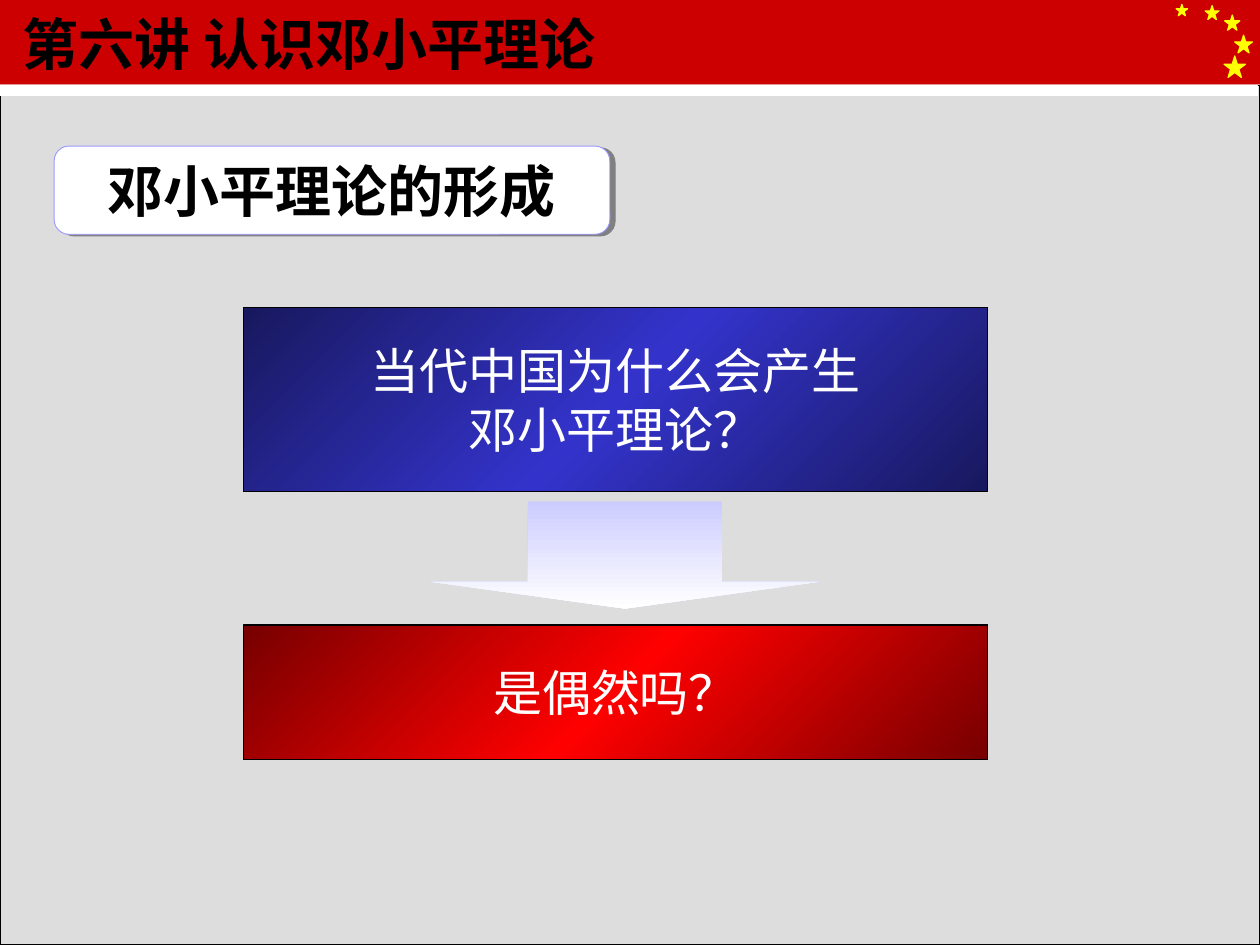
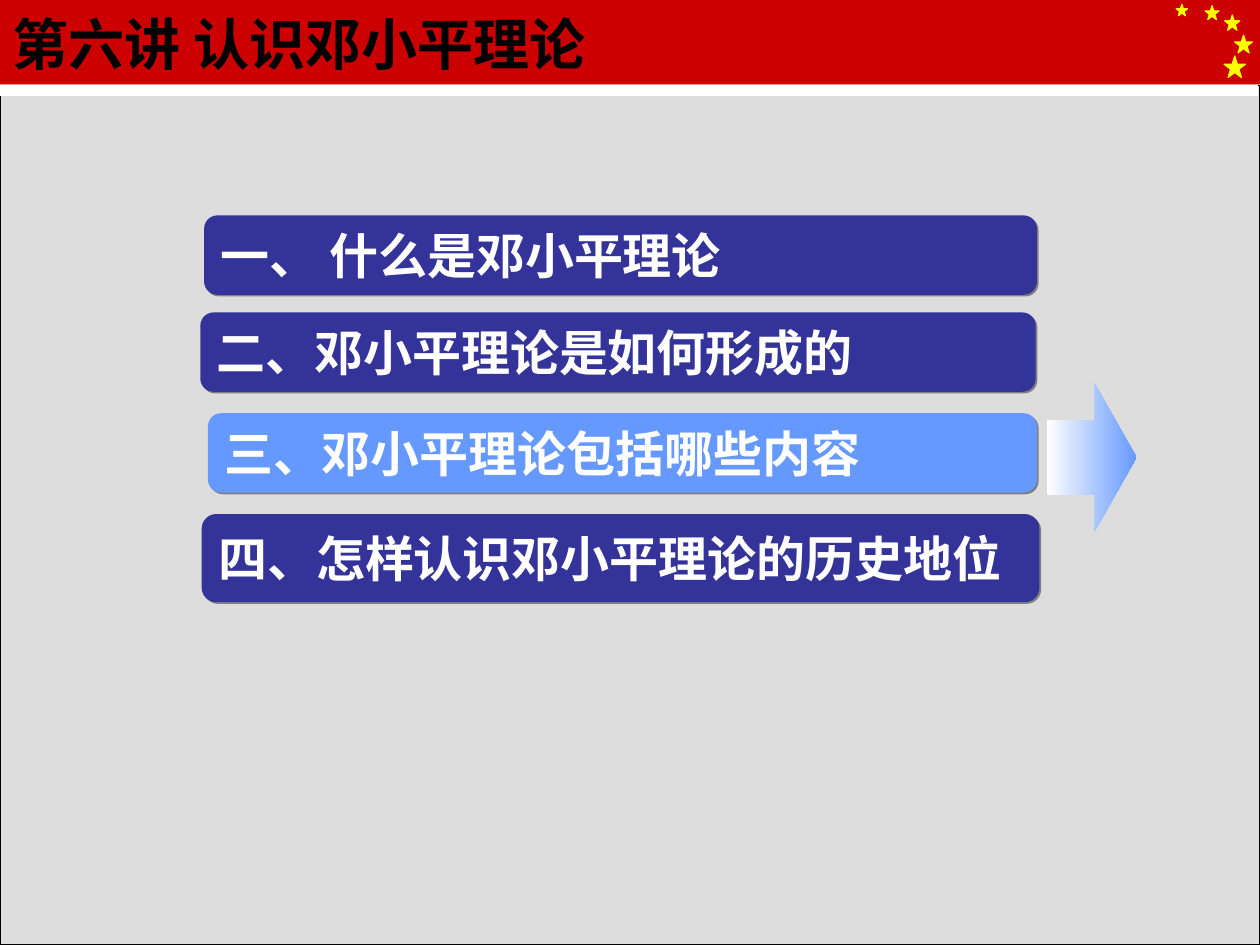
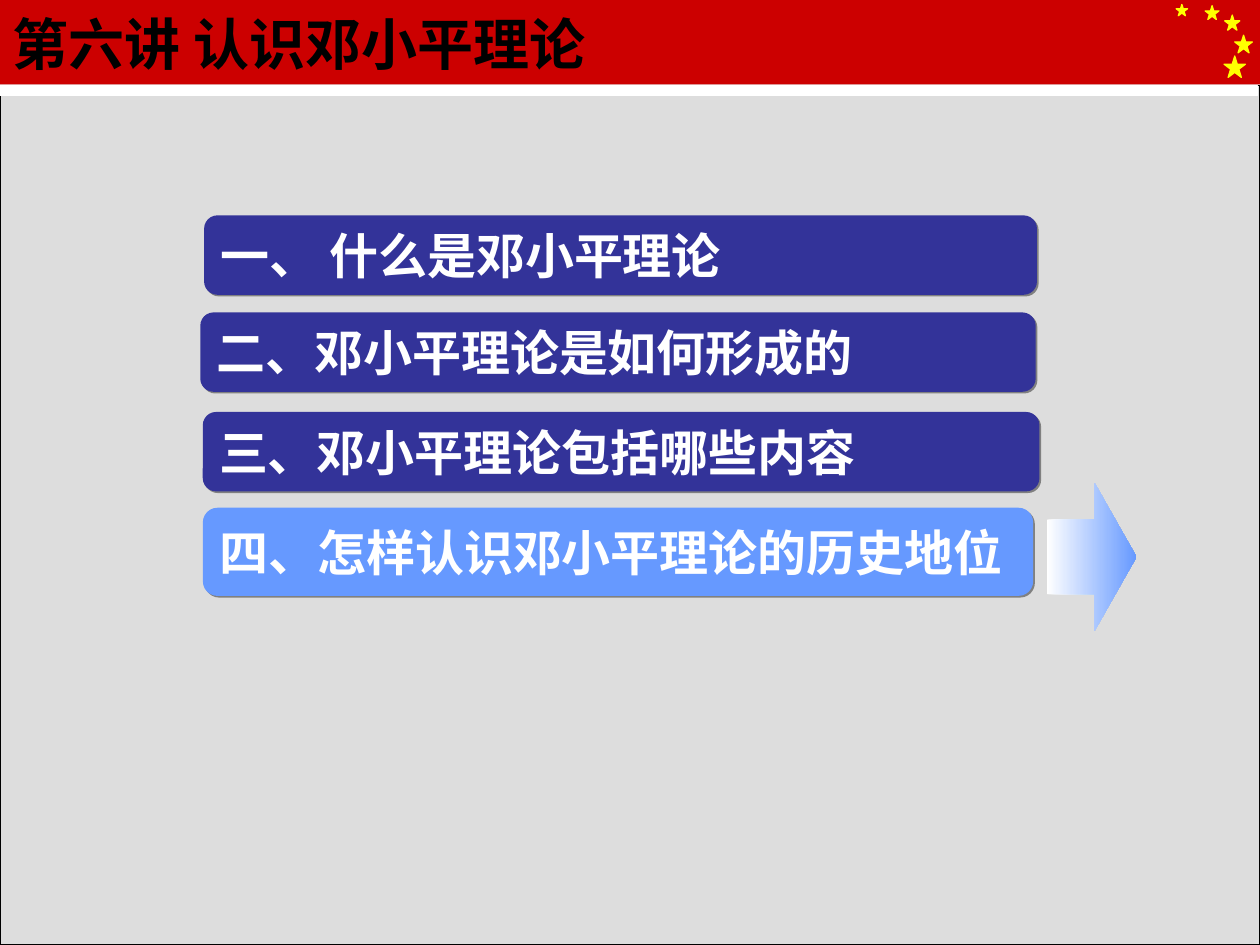
from dataclasses import dataclass
from lxml.etree import SubElement
from pptx import Presentation
from pptx.dml.color import RGBColor
from pptx.enum.shapes import MSO_SHAPE as SHAPE
from pptx.enum.text import MSO_ANCHOR as ANCHOR, MSO_AUTO_SIZE as FIT, PP_ALIGN as ALIGN
from pptx.oxml.ns import qn
from pptx.util import Inches, Pt


@dataclass(frozen=True)
class Theme:
    # Colours
    back: str = "EAEAEA"
    panel: str = "DDDDDD"
    band: str = "CC0000"
    star: str = "FFFF00"
    white: str = "FFFFFF"
    black: str = "000000"
    bar: str = "333399"
    active: str = "6699FF"
    edge: str = "9999FF"
    shadow: str = "808080"
    blue: tuple = ("18185E", "3333CC", "18185E")
    red: tuple = ("760000", "FF0000", "760000")
    down: tuple = ("CCCCFF", "FFFFFF")
    right: tuple = ("FFFFFF", "6699FF")
    # Type
    heading: str = "Noto Sans CJK SC"
    body: str = "Times New Roman"
    title_size: int = 32
    body_size: int = 28


THEME = Theme()
TITLE = "第六讲 认识邓小平理论"
# Centre x, centre y, size
STARS = [(9.8, 0.53, 0.17), (9.62, 0.1, 0.11), (9.38, 0.08, 0.09),
         (9.78, 0.18, 0.12), (9.87, 0.35, 0.14)]
TOPICS = ["一、 什么是邓小平理论", "二、邓小平理论是如何形成的",
          "三、邓小平理论包括哪些内容", "四、怎样认识邓小平理论的历史地位"]
FIRST_BARS = [(1.62, 1.71, 6.61, 0.63), (1.59, 2.48, 6.63, 0.63)]


def rgb(value):
    return RGBColor.from_string(value)


def write(sp, text, size=THEME.body_size, font=THEME.body, color=THEME.white,
          bold=False, align=ALIGN.LEFT, wrap=True):
    """Fill a shape with one paragraph per line of text."""
    tf = sp.text_frame
    tf.word_wrap, tf.auto_size = wrap, FIT.NONE
    tf.vertical_anchor = ANCHOR.MIDDLE
    tf.margin_left = tf.margin_right = Inches(0.1)
    tf.margin_top = tf.margin_bottom = Inches(0.05)
    for i, line in enumerate(text.split("\n")):
        p = tf.add_paragraph() if i else tf.paragraphs[0]
        p.alignment = align
        r = p.add_run()
        r.text = line
        r.font.size, r.font.bold, r.font.name = Pt(size), bold, font
        r.font.color.rgb = rgb(color)
        r.font.language_id = None
        rpr = r.font._element
        rpr.set("lang", "zh-CN")
        SubElement(rpr, qn("a:ea"), typeface=THEME.heading)


class Deck:
    def __init__(self, theme):
        self.t = theme
        self.prs = Presentation()
        self.prs.slide_width, self.prs.slide_height = Inches(10), Inches(7.5)
        self.layout = self.prs.slide_layouts[5]
        fill = self.prs.slide_master.background.fill
        fill.solid()
        fill.fore_color.rgb = rgb(theme.back)
        self.s = None

    def start(self, left, width):
        """Add a slide with the lecture title."""
        self.s = self.prs.slides.add_slide(self.layout)
        sp = self.s.shapes.title
        sp.left, sp.top = Inches(left), Inches(0)
        sp.width, sp.height = Inches(width), Inches(0.68)
        write(sp, TITLE, size=self.t.title_size, font=self.t.heading,
              color=self.t.black, bold=True)

    def shape(self, kind, at, fill, line=None, width=0.75, angle=0, adj=()):
        sp = self.s.shapes.add_shape(kind, *map(Inches, at))
        sp.shadow.inherit = False
        for i, value in enumerate(adj):
            sp.adjustments[i] = value
        if isinstance(fill, tuple):
            self.gradient(sp, fill, angle)
        else:
            sp.fill.solid()
            sp.fill.fore_color.rgb = rgb(fill)
        if line:
            sp.line.color.rgb, sp.line.width = rgb(line), Pt(width)
        else:
            sp.line.fill.background()
        return sp

    def gradient(self, sp, colors, angle):
        """Spread the colours evenly along a clockwise angle."""
        sp.fill.gradient()
        grad = sp.element.spPr.find(qn("a:gradFill"))
        stops = grad.find(qn("a:gsLst"))
        for stop in list(stops):
            stops.remove(stop)
        for i, color in enumerate(colors):
            stop = SubElement(stops, qn("a:gs"), pos=str(100000 * i // (len(colors) - 1)))
            SubElement(stop, qn("a:srgbClr"), val=color)
        grad.find(qn("a:lin")).set("ang", str(angle * 60000))

    def shadow(self, sp, distance, angle):
        effects = sp.element.spPr.find(qn("a:effectLst"))
        outer = SubElement(effects, qn("a:outerShdw"), blurRad="0",
                           dist=str(Pt(distance)), dir=str(angle * 60000),
                           algn="ctr", rotWithShape="0")
        SubElement(outer, qn("a:srgbClr"), val=self.t.shadow)

    def frame(self):
        """Draw band, stars and panel, then hand them to the shared layout."""
        t = self.t
        parts = [self.shape(SHAPE.RECTANGLE, (0, 0, 10, 0.67), t.band)]
        parts += [self.shape(SHAPE.STAR_5_POINT, (x - d / 2, y - d / 2, d, d), t.star, t.star)
                  for x, y, d in STARS]
        parts += [self.shape(SHAPE.RECTANGLE, (0, 0.68, 10, 6.82), t.panel, t.black),
                  self.shape(SHAPE.RECTANGLE, (0, 0.68, 9.98, 0.08), t.white, t.white)]
        for number, sp in enumerate(parts, 100):
            sp.element.nvSpPr.cNvPr.set("id", str(number))
            self.layout.shapes.element.append(sp.element)

    def question(self, text, top, height, colors):
        sp = self.shape(SHAPE.RECTANGLE, (1.93, top, 5.91, height), colors,
                        self.t.black, angle=45)
        write(sp, text, align=ALIGN.CENTER, wrap=False)

    def heading(self, text, at):
        sp = self.shape(SHAPE.ROUNDED_RECTANGLE, at, self.t.white, self.t.edge, 0.5)
        self.shadow(sp, 3.2, 18)
        write(sp, text, size=self.t.title_size, font=self.t.heading,
              color=self.t.black, bold=True, align=ALIGN.CENTER)

    def outline(self, bars, active, arrow_top):
        """List the topics, with an arrow beside the active one."""
        self.shape(SHAPE.RIGHT_ARROW, (8.31, arrow_top, 0.71, 1.18), self.t.right,
                   adj=(0.5, 0.47))
        for i, (text, at) in enumerate(zip(TOPICS, bars)):
            sp = self.shape(SHAPE.ROUNDED_RECTANGLE, at,
                            self.t.active if i == active else self.t.bar)
            self.shadow(sp, 1.4, 45)
            write(sp, text, bold=True)


def main():
    deck = Deck(THEME)

    # Opening question
    deck.start(0.08, 7.08)
    deck.frame()
    deck.question("当代中国为什么会产生\n邓小平理论？", 2.44, 1.46, THEME.blue)
    deck.question("是偶然吗？", 4.96, 1.07, THEME.red)
    deck.heading("邓小平理论的形成", (0.43, 1.16, 4.41, 0.7))
    deck.shape(SHAPE.DOWN_ARROW, (3.42, 3.98, 3.08, 0.85), THEME.down,
               angle=90, adj=(0.5, 0.25))

    # Outline at the third topic
    deck.start(0, 7.5)
    deck.outline(FIRST_BARS + [(1.65, 3.28, 6.58, 0.63), (1.6, 4.08, 6.65, 0.7)],
                 active=2, arrow_top=3.04)

    # Outline at the fourth topic
    deck.start(0, 7.5)
    deck.outline(FIRST_BARS + [(1.61, 3.27, 6.64, 0.63), (1.61, 4.03, 6.59, 0.7)],
                 active=3, arrow_top=3.83)

    deck.prs.save("out.pptx")


if __name__ == "__main__":
    main()
